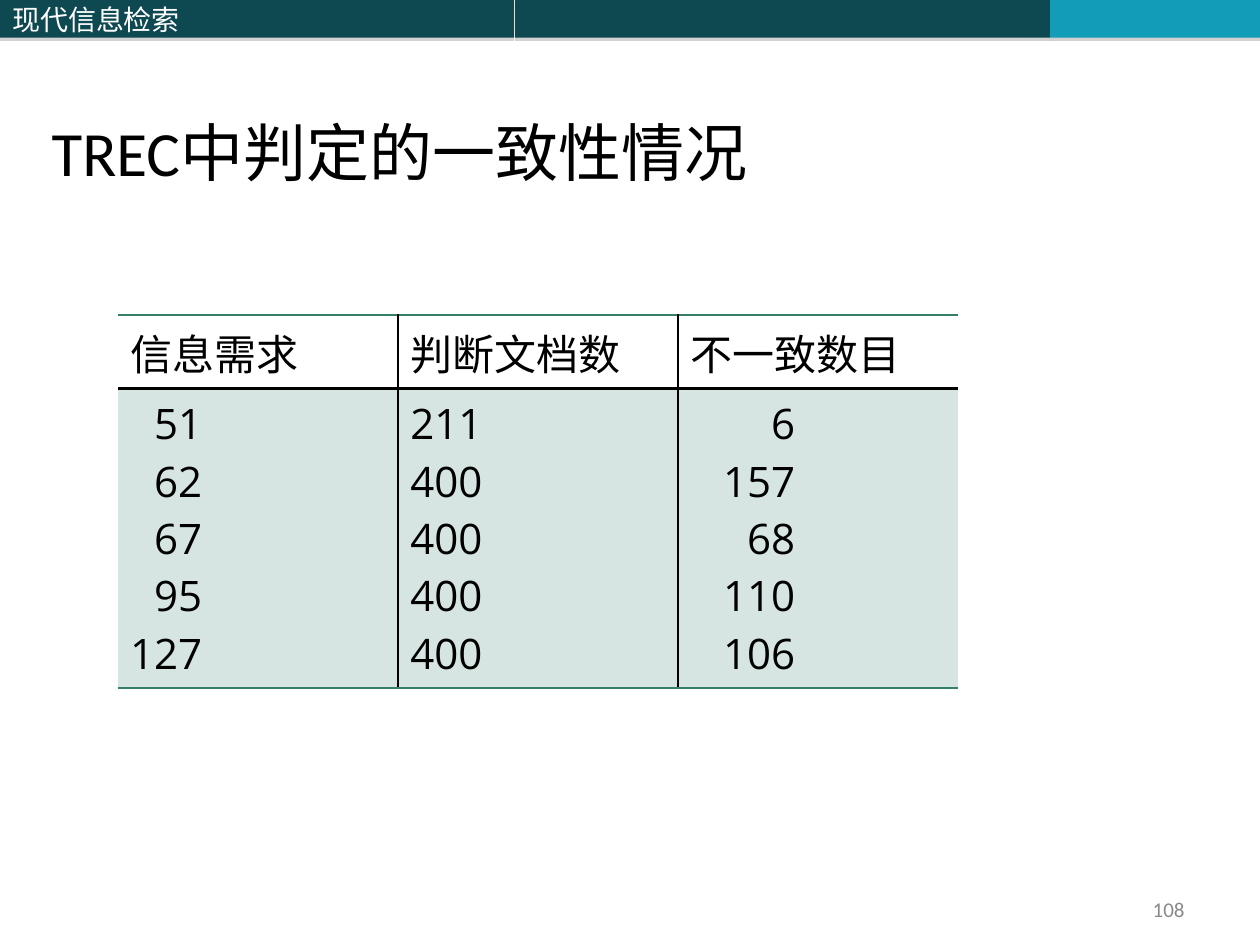
from lxml import etree
from pptx import Presentation
from pptx import util as u
from pptx.dml.color import RGBColor
from pptx.enum import shapes, text
from pptx.oxml import ns

CJK = "Noto Sans CJK SC"
BLACK, GREEN = "000000", "357E69"


def colour(value):
    return RGBColor.from_string(value)


def inset(frame, x, y):
    frame.margin_left = frame.margin_right = u.Cm(x)
    frame.margin_top = frame.margin_bottom = u.Cm(y)


def add_run(paragraph, words, size, font, tint):
    run = paragraph.add_run()
    run.text = words
    run.font.size = u.Pt(size)
    run.font.name = font
    run.font.bold = False
    run.font.color.rgb = colour(tint)
    east_asian = etree.SubElement(run.font._element, ns.qn("a:ea"))
    east_asian.set("typeface", CJK)


def add_shadow(band):
    effects = etree.SubElement(band._element.spPr, ns.qn("a:effectLst"))
    shadow = etree.SubElement(effects, ns.qn("a:outerShdw"), blurRad="0",
                              dist=str(u.Pt(1.8)), dir="5400000", rotWithShape="0")
    tint = etree.SubElement(shadow, ns.qn("a:srgbClr"), val="808080")
    etree.SubElement(tint, ns.qn("a:alpha"), val="35000")


def header_band(slide, left, top, height, course):
    segments = [(0, 10.36, "0E4851", course), (10.38, 10.79, "0E4851", ""),
                (21.17, 4.23, "139CB7", "")]
    for offset, width, fill, label in segments:
        band = slide.shapes.add_shape(shapes.MSO_SHAPE.RECTANGLE, u.Cm(left + offset),
                                      u.Cm(top), u.Cm(width), u.Cm(height))
        band.fill.solid()
        band.fill.fore_color.rgb = colour(fill)
        band.line.fill.background()
        add_shadow(band)
        if label:
            frame = band.text_frame
            frame.vertical_anchor = text.MSO_ANCHOR.MIDDLE
            frame.paragraphs[0].alignment = text.PP_ALIGN.LEFT
            add_run(frame.paragraphs[0], label, 16, CJK, "FFFFFF")


def heading(slide, left, top, width, height, words):
    title = slide.shapes.title
    title.left, title.top = u.Cm(left), u.Cm(top)
    title.width, title.height = u.Cm(width), u.Cm(height)
    frame = title.text_frame
    frame.word_wrap = True
    frame.vertical_anchor = text.MSO_ANCHOR.BOTTOM
    inset(frame, 0.25, 0.09)
    frame.paragraphs[0].alignment = text.PP_ALIGN.LEFT
    add_run(frame.paragraphs[0], words, 36, "Calibri", BLACK)


def page_number(slide, left, top, width, height, number):
    footer = slide.shapes.add_textbox(u.Cm(left), u.Cm(top), u.Cm(width), u.Cm(height))
    frame = footer.text_frame
    frame.word_wrap = True
    frame.vertical_anchor = text.MSO_ANCHOR.MIDDLE
    frame.paragraphs[0].alignment = text.PP_ALIGN.RIGHT
    add_run(frame.paragraphs[0], number, 12, "Calibri", "898989")


def set_borders(cell, borders):
    properties = cell._tc.get_or_add_tcPr()
    for side in "LRTB":
        tint, points = borders.get(side, (None, 0))
        edge = etree.SubElement(properties, ns.qn("a:ln" + side), w=str(u.Pt(points)))
        if tint:
            fill = etree.SubElement(edge, ns.qn("a:solidFill"))
            etree.SubElement(fill, ns.qn("a:srgbClr"), val=tint)
        else:
            etree.SubElement(edge, ns.qn("a:noFill"))


def tint_cell(cell, tint, percent):
    cell.fill.solid()
    cell.fill.fore_color.rgb = colour(tint)
    rgb = cell._tc.tcPr.find(ns.qn("a:solidFill")).find(ns.qn("a:srgbClr"))
    etree.SubElement(rgb, ns.qn("a:alpha"), val=str(percent * 1000))


def agreement_table(slide, left, top, width, columns):
    header_height, body_height = 1.48, 6.04
    last = len(columns) - 1
    table = slide.shapes.add_table(2, len(columns), u.Cm(left), u.Cm(top), u.Cm(width),
                                   u.Cm(header_height + body_height)).table
    table.first_row = table.horz_banding = False
    table.rows[0].height, table.rows[1].height = u.Cm(header_height), u.Cm(body_height)
    outer, inner = (GREEN, 1), (BLACK, 1.5)

    for index, (label, values, align, left_margin, right_margin) in enumerate(columns):
        table.columns[index].width = u.Cm(width / len(columns))
        sides = {}
        if index > 0:
            sides["L"] = inner
        if index < last:
            sides["R"] = inner

        head, body = table.cell(0, index), table.cell(1, index)
        set_borders(head, {**sides, "T": outer, "B": inner})
        head.fill.background()
        add_run(head.text_frame.paragraphs[0], label, 24, "Open Sans", BLACK)

        set_borders(body, {**sides, "T": inner, "B": outer})
        tint_cell(body, GREEN, 20)
        body.margin_left, body.margin_right = u.Cm(left_margin), u.Cm(right_margin)
        for row, value in enumerate(values):
            frame = body.text_frame
            paragraph = frame.add_paragraph() if row else frame.paragraphs[0]
            paragraph.alignment = align
            add_run(paragraph, value, 24, "Open Sans", BLACK)


def main():
    deck = Presentation()
    deck.slide_width, deck.slide_height = u.Cm(25.4), u.Cm(19.05)
    slide = deck.slides.add_slide(deck.slide_layouts[5])
    left, right = text.PP_ALIGN.LEFT, text.PP_ALIGN.RIGHT

    header_band(slide, 0, 0, 0.76, "现代信息检索")
    heading(slide, 0.79, 0.03, 23.82, 3.88, "TREC中判定的一致性情况")
    agreement_table(slide, 2.38, 6.35, 16.93, [
        ("信息需求", ["51", "62", "67", "95", "127"], right, 0, 3.95),
        ("判断文档数", ["211", "400", "400", "400", "400"], left, 0.25, 0.25),
        ("不一致数目", ["6", "157", "68", "110", "106"], right, 0, 3.28),
    ])
    page_number(slide, 18.21, 17.98, 5.92, 0.69, "108")
    deck.save("out.pptx")


if __name__ == "__main__":
    main()
